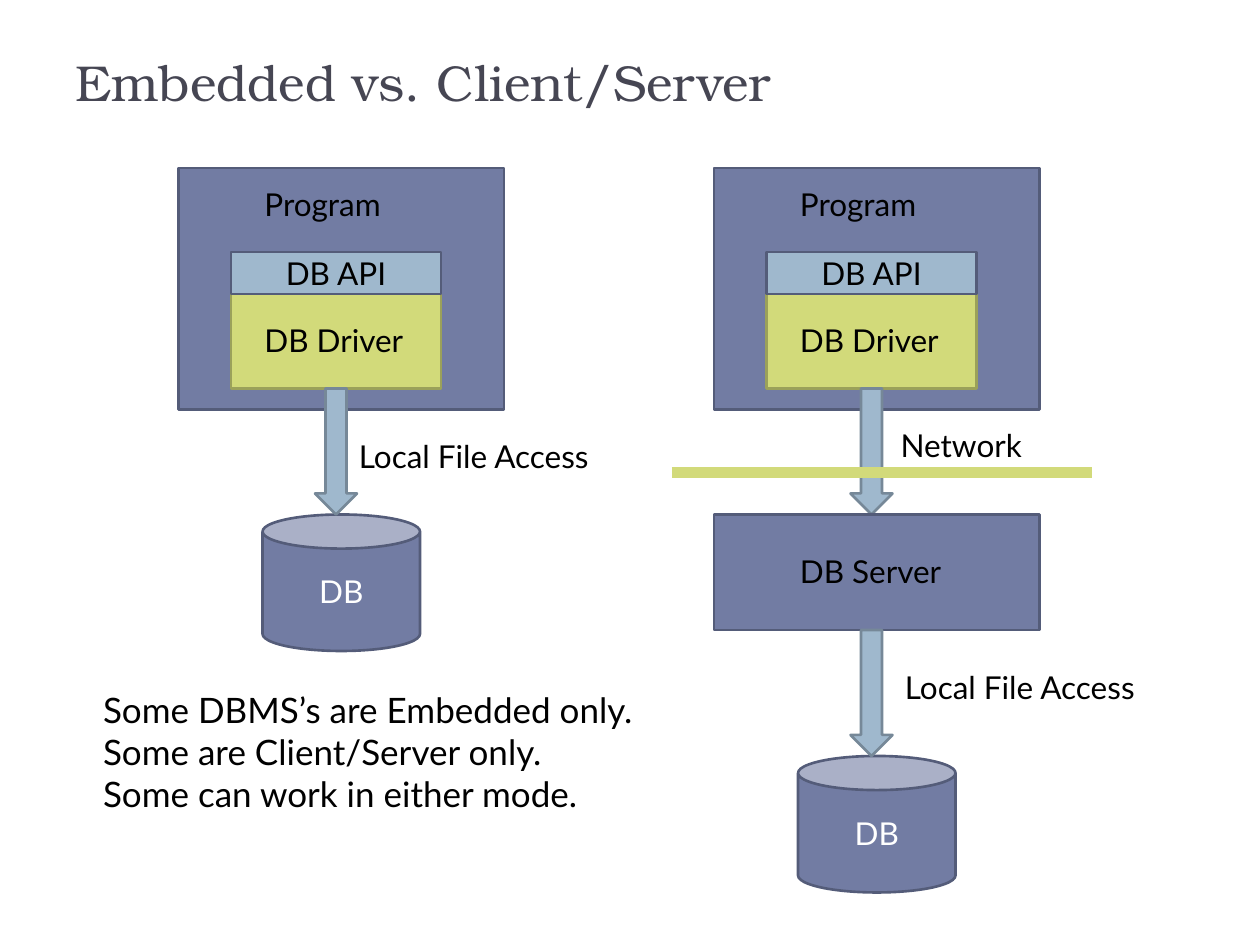
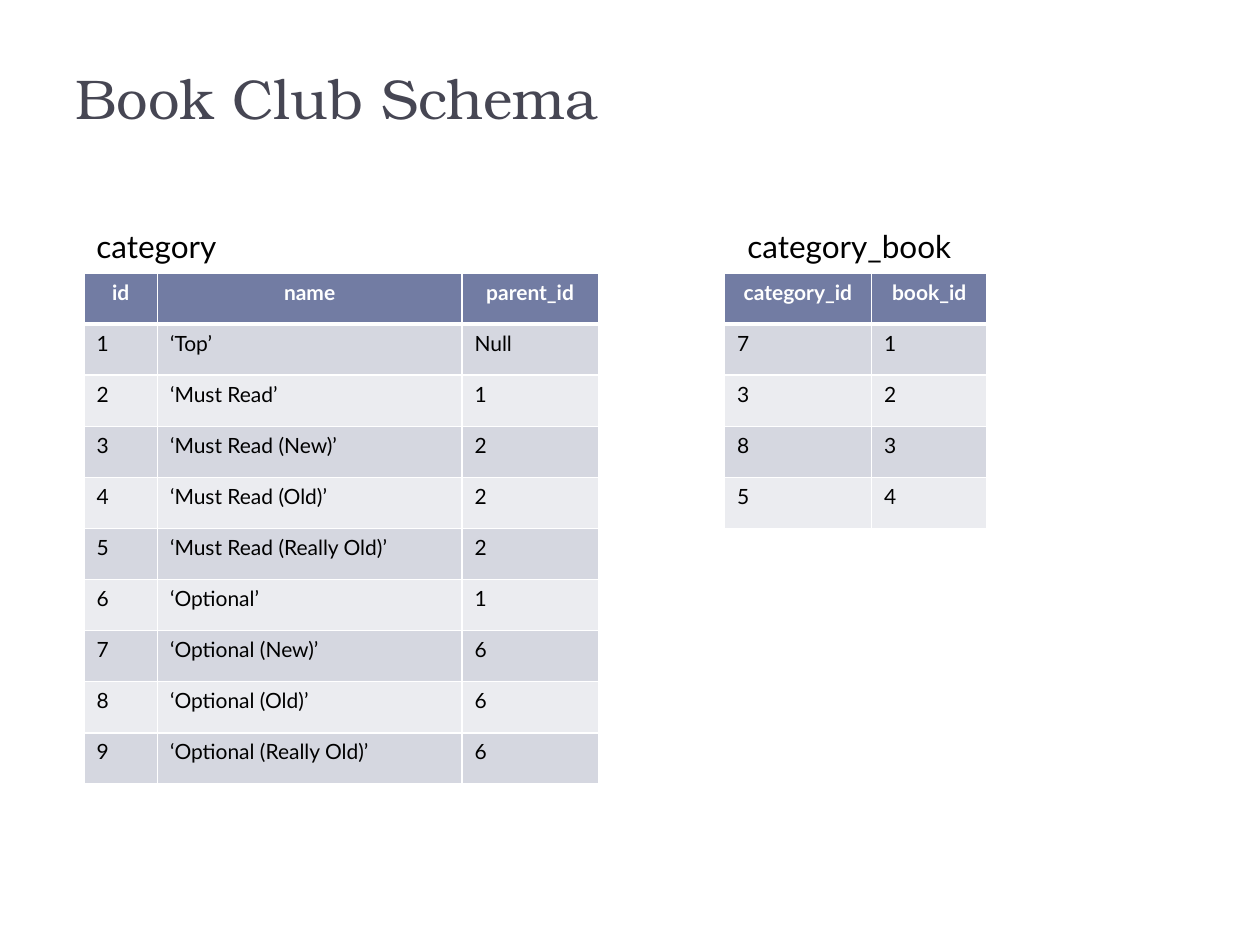
import dataclasses
import typing

import lxml.etree
import pptx
import pptx.dml.color
import pptx.enum.shapes
import pptx.enum.text
import pptx.oxml.ns
import pptx.util

Pt = pptx.util.Pt
RGB = pptx.dml.color.RGBColor.from_string
Kind = pptx.enum.shapes.MSO_SHAPE
Align = pptx.enum.text.PP_ALIGN
Anchor = pptx.enum.text.MSO_ANCHOR
AutoSize = pptx.enum.text.MSO_AUTO_SIZE
qualified = pptx.oxml.ns.qn


@dataclasses.dataclass(frozen=True)
class Theme:
    body_font: str = "Lato"
    title_font: str = "TeX Gyre Bonum"
    title_color: str = "464653"
    black: str = "000000"
    white: str = "FFFFFF"
    indigo: str = "727CA3"
    indigo_edge: str = "545C79"
    lime: str = "D2DA7A"
    lime_edge: str = "9BA15A"
    sky: str = "9FB8CD"
    sky_edge: str = "768898"
    bands: tuple[str, str] = ("D5D7E0", "EBECF0")
    title_size: float = 32
    small_title_size: float = 28.8
    note_size: float = 20
    label_size: float = 18
    cell_size: float = 12
    outline: float = 1.5
    network_line: float = 6
    cell_border: float = 1
    header_border: float = 3


THEME = Theme()


class Box(typing.NamedTuple):
    left: float
    top: float
    width: float
    height: float

    def moved(self, right: float = 0, down: float = 0) -> "Box":
        return Box(self.left + right, self.top + down, self.width, self.height)

    def lengths(self) -> list:
        return [Pt(value) for value in self]


class TextStyle(typing.NamedTuple):
    size: float
    color: str = THEME.black
    font: str = THEME.body_font
    bold: bool = False
    alignment: Align = Align.LEFT


@dataclasses.dataclass(frozen=True)
class Block:
    kind: Kind
    box: Box
    fill: str
    edge: str
    text: str = ""
    text_color: str = THEME.black

    def moved(self, right: float = 0, down: float = 0) -> "Block":
        return dataclasses.replace(self, box=self.box.moved(right, down))


@dataclasses.dataclass(frozen=True)
class Label:
    text: str
    box: Box
    size: float = THEME.label_size

    def moved(self, right: float = 0, down: float = 0) -> "Label":
        return dataclasses.replace(self, box=self.box.moved(right, down))


@dataclasses.dataclass(frozen=True)
class DataTable:
    name: str
    name_box: Box
    left: float
    column_widths: tuple[float, ...]
    rows: list[tuple[str, ...]]


def set_values(target: typing.Any, values: dict[str, typing.Any]) -> None:
    for name, value in values.items():
        setattr(target, name, value)


def write_text(frame: typing.Any, text: str, style: TextStyle) -> None:
    frame.text = text
    for paragraph in frame.paragraphs:
        paragraph.alignment = style.alignment
        for run in paragraph.runs:
            set_values(run.font, {"name": style.font, "size": Pt(style.size), "bold": style.bold})
            run.font.color.rgb = RGB(style.color)


def add_title(slide: typing.Any, text: str, top: float, size: float, bottom_inset: float = 3.6) -> None:
    frame = slide.shapes.add_textbox(*Box(36, top, 648, 78).lengths()).text_frame
    set_values(frame, {
        "word_wrap": True,
        "vertical_anchor": Anchor.BOTTOM,
        "margin_bottom": Pt(bottom_inset),
    })
    write_text(frame, text, TextStyle(size, THEME.title_color, THEME.title_font))


def add_label(slide: typing.Any, label: Label) -> None:
    frame = slide.shapes.add_textbox(*label.box.lengths()).text_frame
    set_values(frame, {"word_wrap": False, "auto_size": AutoSize.SHAPE_TO_FIT_TEXT})
    write_text(frame, label.text, TextStyle(label.size))


def add_block(slide: typing.Any, block: Block) -> None:
    shape = slide.shapes.add_shape(block.kind, *block.box.lengths())
    shape.shadow.inherit = False
    shape.fill.solid()
    shape.fill.fore_color.rgb = RGB(block.fill)
    shape.line.color.rgb = RGB(block.edge)
    shape.line.width = Pt(THEME.outline)
    if block.text:
        shape.text_frame.vertical_anchor = Anchor.MIDDLE
        style = TextStyle(THEME.label_size, block.text_color, alignment=Align.CENTER)
        write_text(shape.text_frame, block.text, style)


def add_network_line(slide: typing.Any, left: float, right: float, top: float) -> None:
    connector = slide.shapes.add_connector(
        pptx.enum.shapes.MSO_CONNECTOR.STRAIGHT, Pt(left), Pt(top), Pt(right), Pt(top)
    )
    connector.line.color.rgb = RGB(THEME.lime)
    connector.line.width = Pt(THEME.network_line)
    lxml.etree.SubElement(connector._element.spPr, qualified("a:effectLst"))


def set_borders(cell: typing.Any, widths: dict[str, float]) -> None:
    properties = cell._tc.get_or_add_tcPr()
    for side, width in widths.items():
        line = lxml.etree.SubElement(properties, qualified(f"a:ln{side}"), w=str(Pt(width)))
        fill = lxml.etree.SubElement(line, qualified("a:solidFill"))
        lxml.etree.SubElement(fill, qualified("a:srgbClr"), val=THEME.white)


def add_data_table(slide: typing.Any, data: DataTable) -> None:
    row_height = 29.2
    box = Box(data.left, 156, sum(data.column_widths), row_height * len(data.rows))
    table = slide.shapes.add_table(len(data.rows), len(data.column_widths), *box.lengths()).table
    set_values(table, {"first_row": True, "horz_banding": False})
    for column, width in zip(table.columns, data.column_widths):
        column.width = Pt(width)
    header_style = TextStyle(THEME.cell_size, THEME.white, bold=True, alignment=Align.CENTER)
    for row_index, values in enumerate(data.rows):
        table.rows[row_index].height = Pt(row_height)
        is_header = row_index == 0
        widths = dict.fromkeys("LRTB", THEME.cell_border)
        if row_index < 2:
            widths["B" if is_header else "T"] = THEME.header_border
        for column_index, value in enumerate(values):
            cell = table.cell(row_index, column_index)
            set_borders(cell, widths)
            cell.fill.solid()
            fill = THEME.indigo if is_header else THEME.bands[(row_index - 1) % 2]
            cell.fill.fore_color.rgb = RGB(fill)
            write_text(cell.text_frame, value, header_style if is_header else TextStyle(THEME.cell_size))
    add_label(slide, Label(data.name, data.name_box))


PROGRAM = Block(Kind.RECTANGLE, Box(102, 96, 186, 138), THEME.indigo, THEME.indigo_edge)
DRIVER = Block(Kind.RECTANGLE, Box(132, 168, 120, 54), THEME.lime, THEME.lime_edge)
INTERFACE = Block(Kind.RECTANGLE, Box(132, 144, 120, 24), THEME.sky, THEME.indigo_edge, "DB API")
ARROW = Block(Kind.DOWN_ARROW, Box(180, 222, 24, 72), THEME.sky, THEME.sky_edge)
DATABASE = Block(Kind.CAN, Box(150, 294, 90, 78), THEME.indigo, THEME.indigo_edge, "DB", THEME.white)
SERVER = Block(Kind.RECTANGLE, Box(408, 294, 186, 66), THEME.indigo, THEME.indigo_edge)
STACK = (PROGRAM, DRIVER, INTERFACE, ARROW)
STACK_LABELS = (
    Label("Program", Box(144, 102, 85, 29)),
    Label("DB Driver", Box(144, 180, 96.5, 29)),
)
CLIENT_OFFSET = 306
SERVER_DROP = 138

FREE_LABELS = (
    Label("DB Server", Box(450, 312, 96, 29)),
    Label("Network", Box(507.6, 240, 86.4, 29)),
    Label("Local File Access", Box(510, 378, 151, 29)),
    Label("Local File Access", Box(198, 246, 151, 29)),
    Label(
        "Some DBMS’s are Embedded only.\nSome are Client/Server only.\nSome can work in either mode.",
        Box(51.8, 390, 326, 80),
        THEME.note_size,
    ),
)

TABLES = (
    DataTable("category", Box(48, 126, 83.5, 29), 48, (42, 174, 78), [
        ("id", "name", "parent_id"),
        ("1", "‘Top’", "Null"),
        ("2", "‘Must Read’", "1"),
        ("3", "‘Must Read (New)’", "2"),
        ("4", "‘Must Read (Old)’", "2"),
        ("5", "‘Must Read (Really Old)’", "2"),
        ("6", "‘Optional’", "1"),
        ("7", "‘Optional (New)’", "6"),
        ("8", "‘Optional (Old)’", "6"),
        ("9", "‘Optional (Really Old)’", "6"),
    ]),
    DataTable("category_book", Box(420, 126, 133, 29), 414, (84, 66), [
        ("category_id", "book_id"),
        ("7", "1"),
        ("3", "2"),
        ("8", "3"),
        ("5", "4"),
    ]),
)


def build_architecture(slide: typing.Any) -> None:
    add_title(slide, "Embedded vs. Client/Server", 24, THEME.small_title_size, bottom_inset=38)
    add_block(slide, DATABASE)
    add_block(slide, DATABASE.moved(CLIENT_OFFSET, SERVER_DROP))
    for offset in (0, CLIENT_OFFSET):
        for block in STACK:
            add_block(slide, block.moved(offset))
        for label in STACK_LABELS:
            add_label(slide, label.moved(offset))
    add_block(slide, SERVER)
    add_block(slide, ARROW.moved(CLIENT_OFFSET, SERVER_DROP))
    for label in FREE_LABELS:
        add_label(slide, label)
    add_network_line(slide, 384, 624, 270)


def build_schema(slide: typing.Any) -> None:
    add_title(slide, "Book Club Schema", 0, THEME.title_size)
    for data in TABLES:
        add_data_table(slide, data)


def main() -> None:
    presentation = pptx.Presentation()
    set_values(presentation, {"slide_width": Pt(720), "slide_height": Pt(540)})
    for build in (build_architecture, build_schema):
        build(presentation.slides.add_slide(presentation.slide_layouts[6]))
    presentation.save("out.pptx")


main()
